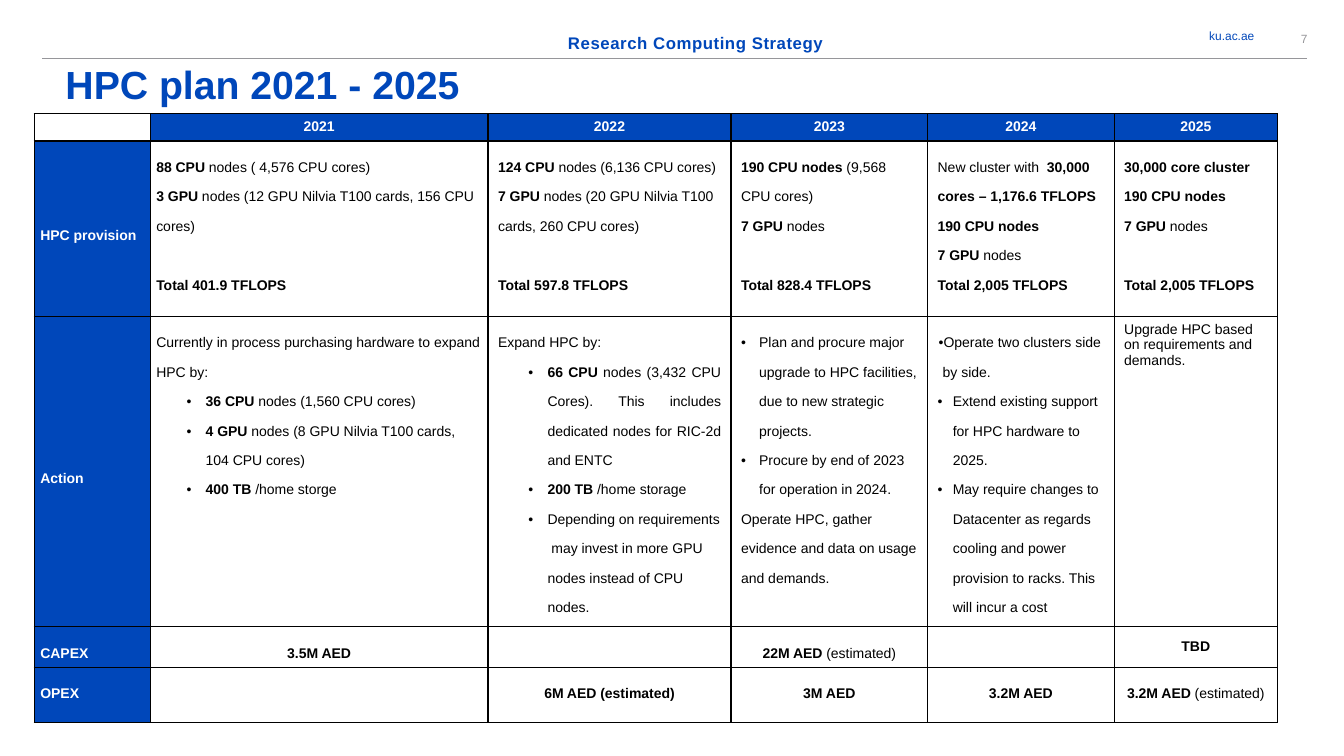
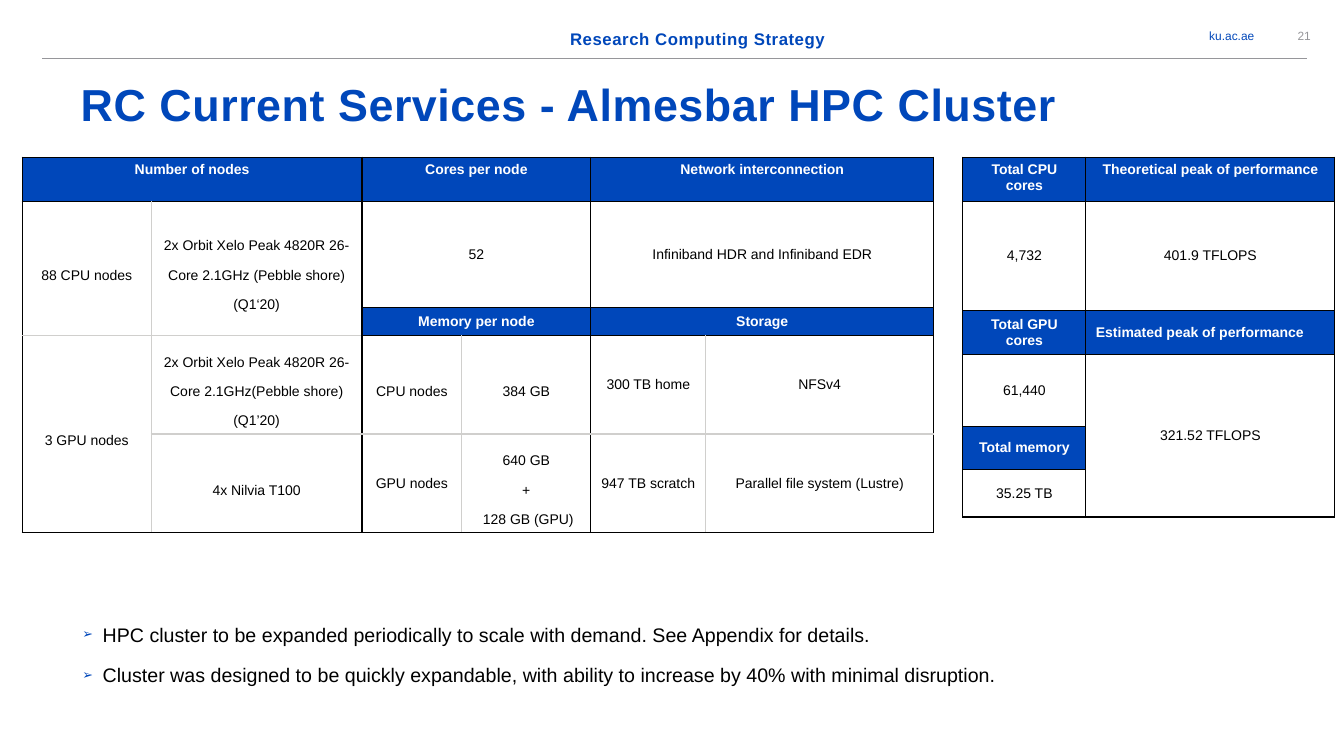
from dataclasses import dataclass
from lxml import etree
from pptx import Presentation
from pptx.dml.color import RGBColor
from pptx.enum.shapes import MSO_CONNECTOR
from pptx.enum.text import MSO_ANCHOR as Anchor, PP_ALIGN as Align
from pptx.oxml.ns import qn
from pptx.util import Inches, Pt

BLUE, GREY, PALE, BLACK, WHITE = "0047BA", "96969A", "D0CFCD", "000000", "FFFFFF"
FONT = "Arial"
CENTER, MIDDLE, TOP = Align.CENTER, Anchor.MIDDLE, Anchor.TOP


@dataclass
class Para:
    text: str  # *asterisks* enclose bold words
    left: float = 0
    hang: float = 0
    bullet: str = ""
    align: Align = Align.LEFT
    before: float = 0
    line: float = 21  # exact points, 0 for single spacing


@dataclass
class Cell:
    row: int
    col: int
    paras: list
    header: bool = False
    anchor: Anchor = TOP
    inset: float = 0.1
    rowspan: int = 1
    colspan: int = 1
    pale: str = ""  # edges drawn in the pale colour


def item(text, left=0.49, hang=0.19, **options):
    return Para(text, left, hang, "•", **options)


def total(text, before=21):
    return Para(f"*Total {text} TFLOPS*", before=before)


def centred(text, line=21):
    return Para(text, align=CENTER, line=line)


# Content: HPC plan
PLAN_COLS = [1.15, 3.35, 2.41, 1.95, 1.85, 1.62]
PLAN_ROWS = [0.27, 1.74, 3.08, 0.4, 0.55]
YEARS = ["2021", "2022", "2023", "2024", "2025"]
PLAN_LABELS = ["HPC provision", "Action", "CAPEX", "OPEX"]
PROVISION = [
    [Para("*88 CPU* nodes ( 4,576 CPU cores)"),
     Para("*3 GPU* nodes (12 GPU Nilvia T100 cards, 156 CPU cores)"),
     total("401.9")],
    [Para("*124 CPU* nodes (6,136 CPU cores)"),
     Para("*7 GPU* nodes (20 GPU Nilvia T100 cards, 260 CPU cores)"),
     total("597.8")],
    [Para("*190 CPU nodes* (9,568 CPU cores)"), Para("*7 GPU* nodes"),
     total("828.4")],
    [Para("New cluster with  *30,000 cores – 1,176.6 TFLOPS*"),
     Para("*190 CPU nodes*"), Para("*7 GPU* nodes"), total("2,005", 0)],
    [Para("*30,000 core cluster*"), Para("*190 CPU nodes*"),
     Para("*7 GPU* nodes"), total("2,005")],
]
ACTIONS = [
    [Para("Currently in process purchasing hardware to expand HPC by:"),
     item("*36 CPU* nodes (1,560 CPU cores)"),
     item("*4 GPU* nodes (8 GPU Nilvia T100 cards, 104 CPU cores)"),
     item("*400 TB* /home storge")],
    [Para("Expand HPC by:"),
     item("*66 CPU* nodes (3,432 CPU Cores). This includes dedicated nodes "
          "for RIC-2d and ENTC", align=Align.JUSTIFY),
     item("*200 TB* /home storage"),
     item("Depending on requirements  may invest in more GPU nodes instead "
          "of CPU nodes.")],
    [item("Plan and procure major upgrade to HPC facilities, due to new "
          "strategic projects.", 0.18, 0.18),
     item("Procure by end of 2023 for operation in 2024.", 0.18, 0.18),
     Para("Operate HPC, gather evidence and data on usage and demands.")],
    [item("Operate two clusters side by side.", 0.05, 0.04),
     item("Extend existing support for HPC hardware to 2025.", 0.15, 0.15),
     item("May require changes to Datacenter as regards cooling and power "
          "provision to racks. This will incur a cost", 0.15, 0.15)],
    [Para("Upgrade HPC based on requirements and demands.", line=0)],
]
CAPEX = ["*3.5M AED*", "", "*22M AED* (estimated)", "", "*TBD*"]
OPEX = ["", "*6M AED (estimated)*", "*3M AED*", "*3.2M AED*",
        "*3.2M AED* (estimated)"]

# Content: cluster tables as (row, column, lines, options)
CPU_MODEL = "2x Orbit Xelo Peak 4820R 26-Core 2.1GHz"
NODE_COLS = [1.28, 2.09, 0.99, 1.28, 1.14, 2.26]
NODE_ROWS = [0.44, 1.05, 0.28, 0.97, 0.98]
WIDE = dict(colspan=2)
TITLE_CELL = dict(header=True, line=0)
TIGHT = dict(inset=0.06)
PLAIN = dict(line=0)
NODES = [
    (0, 0, ["Number of nodes"], TITLE_CELL | WIDE | dict(anchor=TOP)),
    (0, 2, ["Cores per node"], TITLE_CELL | WIDE | dict(anchor=TOP)),
    (0, 4, ["Network interconnection"], TITLE_CELL | WIDE | dict(anchor=TOP)),
    (1, 0, ["88 CPU nodes"], TIGHT | dict(rowspan=2, pale="RB")),
    (1, 1, [CPU_MODEL + " (Pebble shore)", "(Q1‘20)"],
     TIGHT | dict(rowspan=2, pale="LB")),
    (1, 2, ["52"], PLAIN | WIDE),
    (1, 4, ["Infiniband HDR and Infiniband EDR"], PLAIN | WIDE),
    (2, 2, ["Memory per node"], TITLE_CELL | WIDE),
    (2, 4, ["Storage"], TITLE_CELL | WIDE),
    (3, 0, ["3 GPU nodes"], TIGHT | dict(rowspan=2, pale="TR")),
    (3, 1, [CPU_MODEL + "(Pebble shore)", "(Q1’20)"], TIGHT | dict(pale="LTB")),
    (3, 2, ["CPU nodes"], TIGHT | dict(pale="RB")),
    (3, 3, ["384 GB"], TIGHT | dict(pale="LB")),
    (3, 4, ["300 TB home"], PLAIN | dict(pale="RB")),
    (3, 5, ["NFSv4"], PLAIN | dict(pale="LB")),
    (4, 1, ["4x Nilvia T100"], TIGHT | dict(pale="LT")),
    (4, 2, ["GPU nodes"], PLAIN | dict(pale="TR")),
    (4, 3, ["640 GB", "+", " 128 GB (GPU)"], dict(pale="LT")),
    (4, 4, ["947 TB scratch"], PLAIN | dict(pale="TR")),
    (4, 5, ["Parallel file system (Lustre)"], PLAIN | dict(pale="LT")),
]
PEAK_COLS = [1.22, 2.47]
PEAK_ROWS = [0.44, 1.08, 0.44, 0.71, 0.43, 0.47]
PEAKS = [
    (0, 0, ["Total CPU cores"], TITLE_CELL | dict(anchor=TOP)),
    (0, 1, ["Theoretical peak of performance"], TITLE_CELL | dict(anchor=TOP)),
    (1, 0, ["4,732"], PLAIN),
    (1, 1, ["401.9 TFLOPS"], PLAIN),
    (2, 0, ["Total GPU cores"], TITLE_CELL),
    (2, 1, ["Estimated peak of performance"], TITLE_CELL | dict(align=Align.LEFT)),
    (3, 0, ["61,440"], PLAIN),
    (3, 1, ["321.52 TFLOPS"], PLAIN | dict(rowspan=3)),
    (4, 0, ["Total memory"], TITLE_CELL),
    (5, 0, ["35.25 TB"], PLAIN),
]
NOTES = [
    "HPC cluster to be expanded periodically to scale with demand. "
    "See Appendix for details.",
    "Cluster was designed to be quickly expandable, with ability to increase "
    "by 40% with minimal disruption.",
]


def rgb(color):
    return RGBColor.from_string(color)


def add_run(paragraph, text, size, color, bold=False, tracking=0):
    run = paragraph.add_run()
    run.text = text
    font = run.font
    font.name, font.size, font.bold = FONT, Pt(size), bold
    font.color.rgb = rgb(color)
    if tracking:
        run._r.get_or_add_rPr().set("spc", str(round(tracking * 100)))


def set_bullet(paragraph, left, hang, mark, color=None, percent=None):
    props = paragraph._p.get_or_add_pPr()
    props.set("marL", str(Inches(left)))
    props.set("indent", str(-Inches(hang)))
    if color:
        holder = etree.SubElement(props, qn("a:buClr"))
        etree.SubElement(holder, qn("a:srgbClr"), val=color)
    if percent:
        etree.SubElement(props, qn("a:buSzPct"), val=str(percent * 1000))
    etree.SubElement(props, qn("a:buFont"), typeface=FONT)
    etree.SubElement(props, qn("a:buChar"), char=mark)


def add_label(slide, box, text, size, color, align=Align.LEFT, anchor=TOP, **style):
    frame = slide.shapes.add_textbox(*map(Inches, box)).text_frame
    frame.word_wrap = True
    frame.vertical_anchor = anchor
    frame.margin_left = frame.margin_right = frame.margin_top = frame.margin_bottom = 0
    paragraph = frame.paragraphs[0]
    paragraph.alignment = align
    add_run(paragraph, text, size, color, **style)


def new_slide(deck, number, section_at, number_top):
    """Blank slide with the shared address, rule, section name and number."""
    slide = deck.slides.add_slide(deck.slide_layouts[6])
    add_label(slide, (11.39, 0.22, 1.05, 0.27), "ku.ac.ae", 8.5, BLUE,
              Align.RIGHT, MIDDLE)
    rule = slide.shapes.add_connector(
        MSO_CONNECTOR.STRAIGHT, *map(Inches, (0.42, 0.58, 12.96, 0.58)))
    rule.line.color.rgb, rule.line.width = rgb(GREY), Pt(0.75)
    etree.SubElement(rule._element.spPr, qn("a:effectLst"))
    add_label(slide, (*section_at, 4.7, 0.2), "Research Computing Strategy", 12,
              BLUE, CENTER, bold=True, tracking=0.4)
    add_label(slide, (12.65, number_top, 0.57, 0.27), number, 8.5, GREY,
              CENTER, MIDDLE)
    return slide


def style_cell(target, header=False, pale=""):
    props = target._tc.get_or_add_tcPr()
    for side in "LRTB":
        edge = etree.SubElement(props, qn("a:ln" + side), w=str(Pt(1)))
        paint = etree.SubElement(edge, qn("a:solidFill"))
        etree.SubElement(paint, qn("a:srgbClr"), val=PALE if side in pale else BLACK)
    target.fill.solid()
    target.fill.fore_color.rgb = rgb(BLUE if header else WHITE)


def write_cell(target, cell):
    target.vertical_anchor = cell.anchor
    target.margin_left = target.margin_right = Inches(cell.inset)
    frame = target.text_frame
    for index, para in enumerate(cell.paras):
        paragraph = frame.add_paragraph() if index else frame.paragraphs[0]
        if para.bullet:
            set_bullet(paragraph, para.left, para.hang, para.bullet)
        paragraph.alignment = para.align
        if para.line:
            paragraph.line_spacing = Pt(para.line)
        if para.before:
            paragraph.space_before = Pt(para.before)
        for part, text in enumerate(para.text.split("*")):
            if text:
                add_run(paragraph, text, 10, WHITE if cell.header else BLACK,
                        cell.header or part % 2 == 1)


def add_grid(slide, left, top, cols, rows, cells):
    table = slide.shapes.add_table(
        len(rows), len(cols),
        *map(Inches, (left, top, sum(cols), sum(rows)))).table
    table.horz_banding = False
    for column, width in zip(table.columns, cols):
        column.width = Inches(width)
    for row, height in zip(table.rows, rows):
        row.height = Inches(height)
    for cell in cells:
        for r in range(cell.row, cell.row + cell.rowspan):
            for c in range(cell.col, cell.col + cell.colspan):
                style_cell(table.cell(r, c), cell.header, cell.pale)
        first = table.cell(cell.row, cell.col)
        if cell.rowspan * cell.colspan > 1:
            first.merge(table.cell(cell.row + cell.rowspan - 1,
                                   cell.col + cell.colspan - 1))
        write_cell(first, cell)
    # Keep empty cells as low as the written ones
    for target in table.iter_cells():
        if not target.text_frame.text:
            etree.SubElement(target.text_frame.paragraphs[0]._p,
                             qn("a:endParaRPr"), sz="1000")


def plan_cells():
    cells = [Cell(0, 0, [])]
    cells += [Cell(0, c, [centred(year, 0)], True) for c, year in enumerate(YEARS, 1)]
    for r, label in enumerate(PLAN_LABELS, 1):
        cells.append(Cell(r, 0, [Para(label)], True, MIDDLE if r < 3 else TOP, 0.06))
    for r, row in enumerate((PROVISION, ACTIONS), 1):
        cells += [Cell(r, c, paras, inset=0.06 if c == 1 else 0.1)
                  for c, paras in enumerate(row, 1)]
    for r, row in enumerate((CAPEX, OPEX), 3):
        for c, cost in enumerate(row, 1):
            pending = cost == "*TBD*"
            paras = [centred(cost, 0 if pending else 21)] if cost else []
            cells.append(Cell(r, c, paras, anchor=MIDDLE if pending else TOP,
                              inset=0.06 if c < 4 else 0.1))
    return cells


def cluster_cells(entries):
    for row, col, lines, options in entries:
        options = dict(anchor=MIDDLE) | options
        line, align = options.pop("line", 21), options.pop("align", CENTER)
        paras = [Para(text, align=align, line=line) for text in lines]
        yield Cell(row, col, paras, **options)


def add_notes_list(slide):
    frame = slide.shapes.add_textbox(*map(Inches, (0.22, 6.13, 11.77, 0.74))).text_frame
    frame.word_wrap = True
    for index, note in enumerate(NOTES):
        paragraph = frame.add_paragraph() if index else frame.paragraphs[0]
        set_bullet(paragraph, 0.7, 0.2, "➢", BLUE, 65)
        if index:
            paragraph.space_before = Pt(12)
        add_run(paragraph, note, 14, BLACK)


def main():
    deck = Presentation()
    deck.slide_width, deck.slide_height = Inches(13.33), Inches(7.5)

    # HPC plan
    plan = new_slide(deck, "7", (4.55, 0.32), 0.25)
    add_label(plan, (0.65, 0.6, 12, 0.47), "HPC plan 2021 - 2025", 28, BLUE, bold=True)
    add_grid(plan, 0.34, 1.13, PLAN_COLS, PLAN_ROWS, plan_cells())

    # Current cluster
    cluster = new_slide(deck, "21", (4.57, 0.29), 0.22)
    add_label(cluster, (0.8, 0.76, 11.88, 0.54),
              "RC Current Services - Almesbar HPC Cluster", 32, BLUE,
              bold=True, tracking=0.4)
    add_grid(cluster, 0.22, 1.56, NODE_COLS, NODE_ROWS, cluster_cells(NODES))
    add_grid(cluster, 9.55, 1.56, PEAK_COLS, PEAK_ROWS, cluster_cells(PEAKS))
    add_notes_list(cluster)

    deck.save("out.pptx")


if __name__ == "__main__":
    main()
